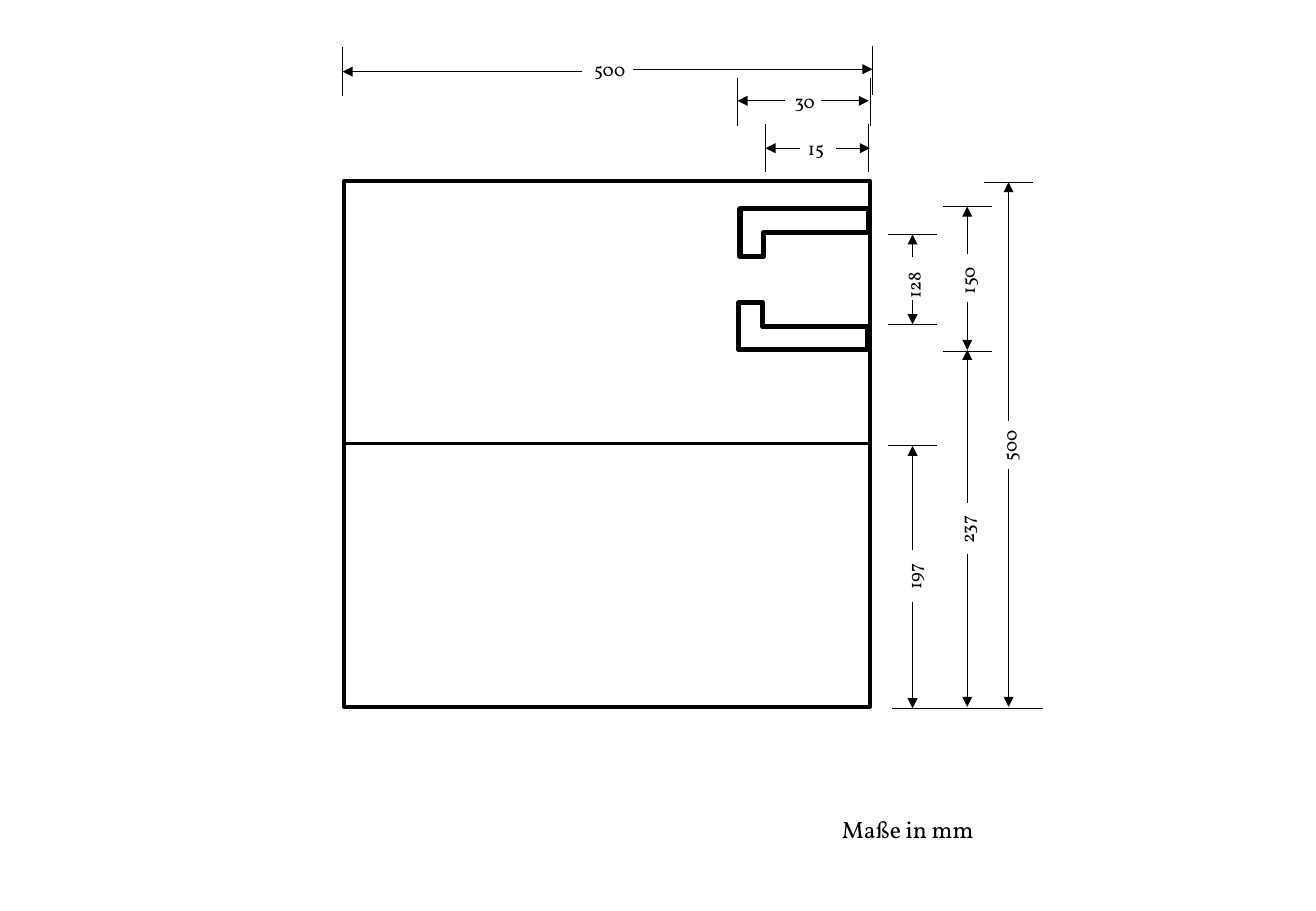
from pptx import Presentation
from pptx.dml.color import RGBColor
from pptx.enum.shapes import MSO_CONNECTOR as Link, MSO_SHAPE as Kind
from pptx.enum.text import MSO_AUTO_SIZE as Fit
from pptx.oxml.ns import qn
from pptx.util import Inches, Pt
from lxml.etree import SubElement as Sub

BLACK = RGBColor(0, 0, 0)
WHITE = RGBColor(255, 255, 255)

deck = Presentation()
deck.slide_width, deck.slide_height = Inches(10.83), Inches(7.5)
shapes = deck.slides.add_slide(deck.slide_layouts[6]).shapes


def draw(ends, width=0.5, arrow=False):
    line = shapes.add_connector(Link.STRAIGHT, *map(Inches, ends))
    line.line.color.rgb = BLACK
    line.line.width = Pt(width)
    props = line._element.spPr
    if arrow:
        Sub(props.find(qn("a:ln")), qn("a:tailEnd"), type="triangle")
    Sub(props, qn("a:effectLst"))


def label(text, box, size=11, turn=0, wrap=True):
    note = shapes.add_textbox(*map(Inches, box))
    note.rotation = turn
    frame = note.text_frame
    frame.word_wrap = wrap
    frame.auto_size = Fit.SHAPE_TO_FIT_TEXT
    run = frame.paragraphs[0].add_run()
    run.text = text
    style = {"name": "Vollkorn", "size": Pt(size)}
    for key, value in style.items():
        setattr(run.font, key, value)
    run.font.color.rgb = BLACK


parts = [
    (Kind.RECTANGLE, (2.83, 1.49, 4.33, 4.33), 2, True, False),
    (Kind.CORNER, (6.08, 2.49, 1.06, 0.39), 3, False, False),
    (Kind.CORNER, (6.09, 1.72, 1.06, 0.39), 3, False, True),
]
for kind, box, width, solid, flip in parts:
    part = shapes.add_shape(kind, *map(Inches, box))
    part.shadow.inherit = False
    part.line.color.rgb = BLACK
    part.line.width = Pt(width)
    if solid:
        part.fill.solid()
        part.fill.fore_color.rgb = WHITE
    else:
        part.fill.background()
    if flip:
        part._element.spPr.find(qn("a:xfrm")).set("flipV", "1")

draw((7.16, 3.65, 2.83, 3.65), width=2)

for x, top in [(2.82, 0.39), (7.18, 0.38), (6.07, 0.64),
               (7.16, 0.64), (6.3, 1.02), (7.15, 1.02)]:
    draw((x, top + 0.4, x, top))

for left, right, y in [(7.31, 7.71, 1.93), (7.31, 7.71, 2.67), (7.31, 7.71, 3.67),
                       (7.76, 8.16, 1.7), (7.76, 8.16, 2.89),
                       (8.1, 8.5, 1.5), (7.34, 8.58, 5.83)]:
    draw((right, y, left, y))

across = [
    ("500", (4.79, 0.59, 2.82), (5.21, 0.57, 7.18), (4.79, 0.43, 0.59, 0.29)),
    ("30", (6.46, 0.83, 6.07), (6.76, 0.83, 7.15), (6.44, 0.69, 0.45, 0.29)),
    ("15", (6.58, 1.22, 6.3), (6.88, 1.22, 7.16), (6.55, 1.08, 0.41, 0.29)),
]
for text, *sides, box in across:
    for start, y, end in sides:
        draw((start, y, end, y), arrow=True)
    label(text, box)

upright = [
    ("128", 7.51, (2.12, 1.93), (2.47, 2.67), (7.22, 2.11, 0.6, 0.29)),
    ("197", 7.51, (4.53, 3.67), (4.96, 5.83), (7.3, 4.58, 0.45, 0.29)),
    ("150", 7.96, (2.09, 1.7), (2.49, 2.88), (7.75, 2.16, 0.43, 0.29)),
    ("237", 7.96, (4.14, 2.88), (4.56, 5.82), (7.71, 4.18, 0.5, 0.29)),
    ("500", 8.3, (3.47, 1.5), (3.86, 5.82), (7.99, 3.43, 0.64, 0.29)),
]
for text, x, *sides, box in upright:
    for start, end in sides:
        draw((x, start, x, end), arrow=True)
    label(text, box, turn=270, wrap=text != "150")

label("Maße in mm", (6.83, 6.66, 1.66, 0.34), size=14)

deck.save("out.pptx")
